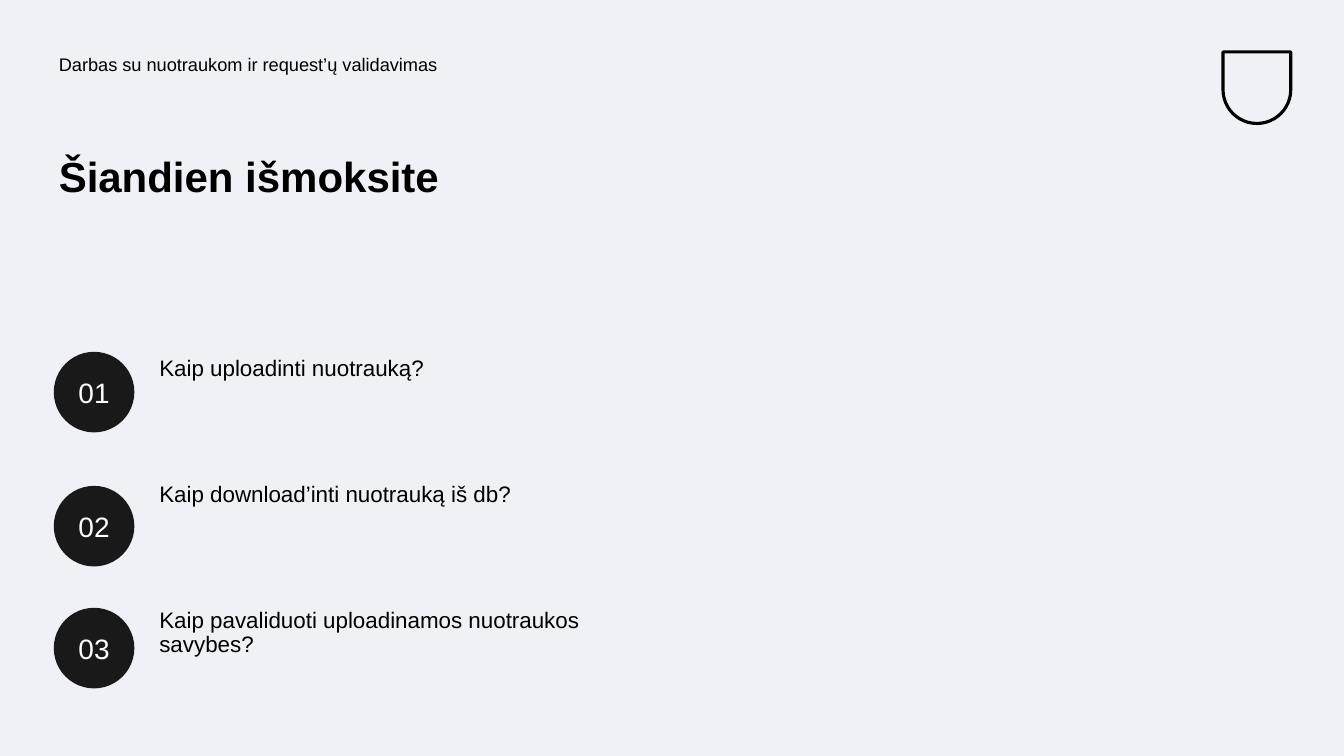
from dataclasses import dataclass

from lxml import etree
from pptx import Presentation
from pptx import util as u
from pptx.dml.color import RGBColor
from pptx.enum import shapes, text
from pptx.oxml import ns


@dataclass(frozen=True)
class Theme:
    font: str = "Arial"
    background: str = "F0F1F6"
    ink: str = "000000"
    badge: str = "191919"
    badge_text: str = "FEFFFF"
    topic_size: int = 13
    title_size: int = 30
    item_size: int = 16
    badge_size: int = 20


THEME = Theme()
WIDTH, HEIGHT = u.Inches(13.33), u.Inches(7.5)
COLUMN, ROW = WIDTH / 25, HEIGHT / 30

TOPIC = "Darbas su nuotraukom ir request’ų validavimas"
TITLE = "Šiandien išmoksite"
# Each item with the row where its badge starts
ITEMS = [
    ("Kaip uploadinti nuotrauką?", 13.96),
    ("Kaip download’inti nuotrauką iš db?", 19.28),
    ("Kaip pavaliduoti uploadinamos nuotraukos savybes?", 24.12),
]
FIRST_ITEM_ROW, ITEM_STEP = 13.96, 5


def grid(column, row, columns, rows):
    """Left, top, width and height of a block of grid cells."""
    return [round(n) for n in (column * COLUMN, row * ROW, columns * COLUMN, rows * ROW)]


def place(shape, box):
    shape.left, shape.top, shape.width, shape.height = box


def write(shape, words, size, color=THEME.ink, bold=False, spacing=0.9,
          align=text.PP_ALIGN.LEFT, anchor=text.MSO_ANCHOR.TOP, wrap=True):
    frame = shape.text_frame
    frame.auto_size = text.MSO_AUTO_SIZE.NONE
    frame.word_wrap = wrap
    frame.vertical_anchor = anchor
    frame.margin_left = frame.margin_right = u.Inches(0.05)
    frame.margin_top = frame.margin_bottom = u.Inches(0.05)
    paragraph = frame.paragraphs[0]
    paragraph.alignment = align
    paragraph.line_spacing = spacing
    paragraph.space_before = u.Pt(0)
    run = paragraph.add_run()
    run.text = words
    run.font.name = THEME.font
    run.font.size = u.Pt(size)
    run.font.bold = bold
    run.font.color.rgb = RGBColor.from_string(color)
    # No bullet and no hanging indent
    properties = paragraph._p.get_or_add_pPr()
    properties.set("marL", "0")
    properties.set("indent", "0")
    etree.SubElement(properties, ns.qn("a:buNone"))


def add_badge(slide, number, row):
    left, top, size, _ = grid(1, row, 1.5, 0)
    badge = slide.shapes.add_shape(shapes.MSO_SHAPE.OVAL, left, top, size, size)
    badge.shadow.inherit = False
    badge.fill.solid()
    badge.fill.fore_color.rgb = RGBColor.from_string(THEME.badge)
    badge.line.fill.background()
    write(badge, f"{number:02d}", THEME.badge_size, color=THEME.badge_text, spacing=1.0,
          align=text.PP_ALIGN.CENTER, anchor=text.MSO_ANCHOR.MIDDLE, wrap=False)


def add_shield(slide):
    shield = slide.shapes.add_shape(
        shapes.MSO_SHAPE.ROUND_2_SAME_RECTANGLE, *grid(22.75, 2.06, 1.26, 2.84))
    shield.adjustments[0], shield.adjustments[1] = 0, 0.5
    shield.shadow.inherit = False
    shield.fill.background()
    shield.line.color.rgb = RGBColor.from_string(THEME.ink)
    shield.line.width = u.Pt(2.25)


def main():
    presentation = Presentation()
    presentation.slide_width, presentation.slide_height = WIDTH, HEIGHT
    # The comparison layout has a title and four body placeholders
    slide = presentation.slides.add_slide(presentation.slide_layouts[4])
    slide.background.fill.solid()
    slide.background.fill.fore_color.rgb = RGBColor.from_string(THEME.background)
    topic, *item_bodies = [slide.placeholders[index] for index in range(1, 5)]

    # Heading
    add_shield(slide)
    place(topic, grid(1, 2, 11.5, 2))
    write(topic, TOPIC, THEME.topic_size)
    title = slide.shapes.title
    place(title, grid(1, 6, 10.57, 5.96))
    write(title, TITLE, THEME.title_size, bold=True)

    # Numbered items
    for index, (body, (words, badge_row)) in enumerate(zip(item_bodies, ITEMS)):
        place(body, grid(2.87, FIRST_ITEM_ROW + index * ITEM_STEP, 8.68, 3.96))
        write(body, words, THEME.item_size)
        add_badge(slide, index + 1, badge_row)

    presentation.save("out.pptx")


if __name__ == "__main__":
    main()
